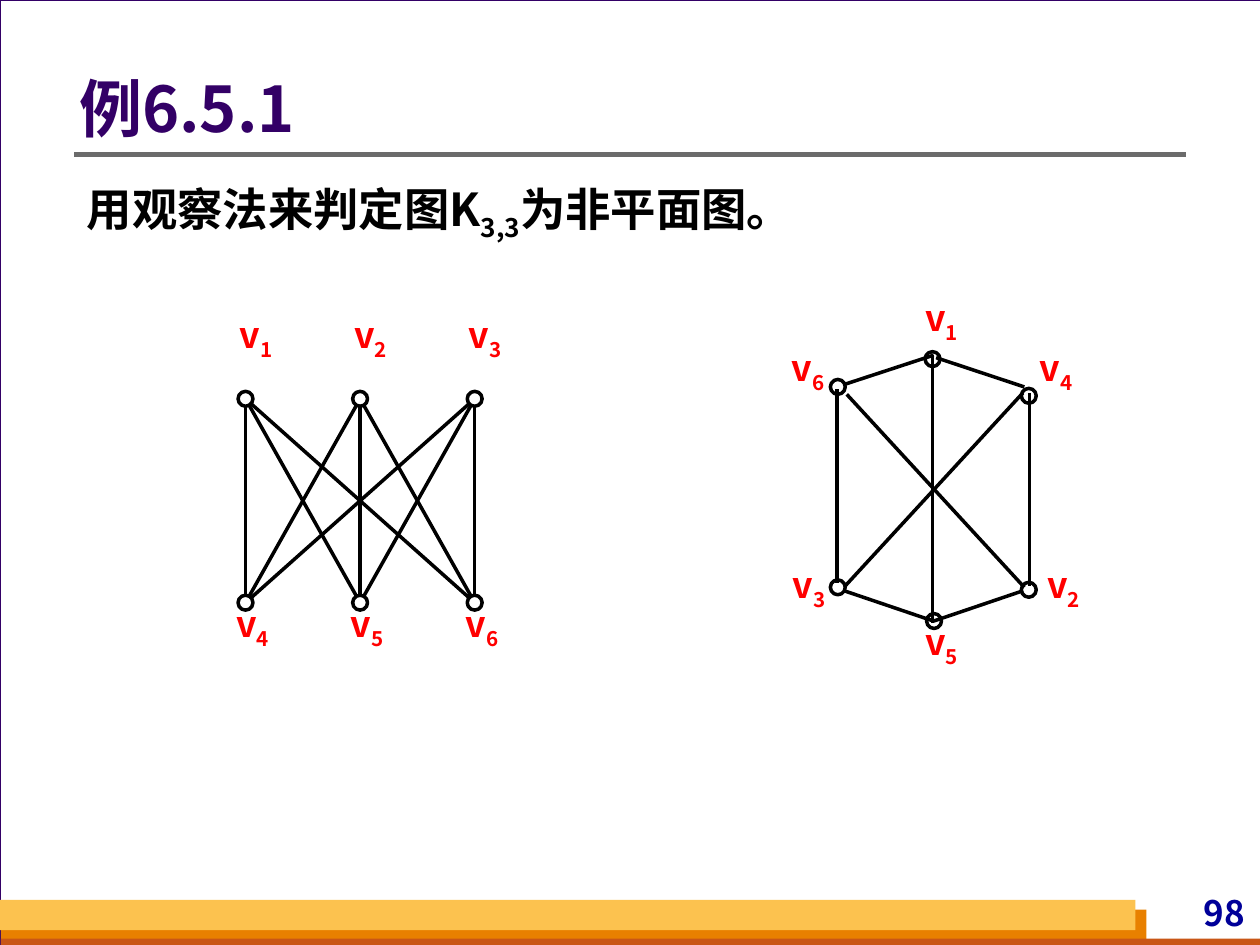
"""Build a slide on example 6.5.1, judging K3,3 non-planar by inspection."""
from itertools import product
from math import hypot

from pptx import Presentation
from pptx.dml.color import RGBColor
from pptx.enum.shapes import MSO_CONNECTOR as Connector, MSO_SHAPE as Shape
from pptx.enum.text import MSO_ANCHOR as Anchor, PP_ALIGN as Align
from pptx.oxml.xmlchemy import OxmlElement
from pptx.util import Cm, Pt

FONT = "Noto Sans CJK SC"
BACKGROUND = RGBColor(0xD8, 0xDA, 0xDA)
WHITE = RGBColor(0xFF, 0xFF, 0xFF)
BLACK = RGBColor(0, 0, 0)
PURPLE = RGBColor(0x33, 0x00, 0x66)
NAVY = RGBColor(0x00, 0x00, 0x99)
RED = RGBColor(0xFF, 0, 0)
GRAY = RGBColor(0x6B, 0x6B, 0x6B)
ORANGE = RGBColor(0xE8, 0x80, 0x00)
RUST = RGBColor(0xC9, 0x56, 0x16)
YELLOW = RGBColor(0xFC, 0xC2, 0x4F)

TITLE = [("例6.5.1", False)]
STATEMENT = [("用观察法来判定图K", False), ("3,3", True), ("为非平面图。", False)]
PAGE = [("98", False)]

BANDS = [
    ((0.02, 18.34, 23.09, 0.71), ORANGE),
    ((0.02, 18.92, 25.4, 0.2), RUST),
    ((0, 18.14, 22.89, 0.61), YELLOW),
]

RADIUS = 0.15
LABEL_SIZE = (1.19, 1.02)
COLUMN_LEFT, COLUMN_GAP = 4.95, 2.31
BIPARTITE_ROWS = [
    {"names": "123", "y": 8.04, "label_offset": (-0.38, -1.72)},
    {"names": "456", "y": 12.15, "label_offset": (-0.45, 0)},
]

HEXAGON_VERTICES = [
    ("1", (18.8, 7.24), (18.39, 5.97)),
    ("4", (20.74, 7.98), (20.7, 6.99)),
    ("2", (20.74, 11.89), (20.85, 11.35)),
    ("5", (18.83, 12.52), (18.39, 12.5)),
    ("3", (16.89, 11.84), (15.72, 11.35)),
    ("6", (16.89, 7.8), (15.7, 6.99)),
]
HEXAGON_EDGES = [
    ((18.87, 7.21), (20.65, 7.8)),
    ((18.82, 7.16), (17.02, 7.75)),
    ((20.75, 7.92), (20.75, 11.81)),
    ((18.8, 7.16), (18.8, 12.55)),
    ((16.87, 7.85), (16.87, 11.76)),
    ((20.65, 11.84), (17.07, 7.95)),
    ((20.62, 7.92), (17.04, 11.81)),
    ((20.62, 11.91), (18.82, 12.52)),
    ((17.02, 11.91), (18.82, 12.52)),
]


def add_preset(slide, kind, box, fill=None, line=None, width=0.75):
    shape = slide.shapes.add_shape(kind, *map(Cm, box))
    shape.shadow.inherit = False
    if fill is None:
        shape.fill.background()
    else:
        shape.fill.solid()
        shape.fill.fore_color.rgb = fill
    if line is None:
        shape.line.fill.background()
    else:
        shape.line.color.rgb = line
        shape.line.width = Pt(width)


def add_line(slide, start, end, color=BLACK, width=2):
    line = slide.shapes.add_connector(Connector.STRAIGHT, *map(Cm, (*start, *end)))
    line.line.color.rgb = color
    line.line.width = Pt(width)
    line._element.spPr.append(OxmlElement("a:effectLst"))


def add_text(slide, box, runs, size, color, align=Align.LEFT, spacing=1.0,
             insets=(0, 0), anchor=Anchor.TOP):
    frame = slide.shapes.add_textbox(*map(Cm, box)).text_frame
    frame.word_wrap = True
    frame.vertical_anchor = anchor
    frame.margin_left = frame.margin_right = Cm(insets[0])
    frame.margin_top = frame.margin_bottom = Cm(insets[1])
    paragraph = frame.paragraphs[0]
    paragraph.alignment = align
    paragraph.line_spacing = spacing
    font = paragraph.font
    font.size, font.bold, font.name = Pt(size), True, FONT
    font.color.rgb = color
    east_asian = OxmlElement("a:ea")
    east_asian.set("typeface", FONT)
    font._element.append(east_asian)
    for text, subscript in runs:
        run = paragraph.add_run()
        run.text = text
        if subscript:
            run._r.get_or_add_rPr().set("baseline", "-25000")


def add_vertex(slide, name, center, label_corner):
    x, y = center
    add_preset(slide, Shape.OVAL, (x - RADIUS, y - RADIUS, 2 * RADIUS, 2 * RADIUS),
               line=BLACK, width=2)
    add_text(slide, (*label_corner, *LABEL_SIZE), [("v", False), (name, True)],
             20.4, RED, Align.CENTER, 0.9)


def add_bipartite_graph(slide):
    rows = []
    for row in BIPARTITE_ROWS:
        dx, dy = row["label_offset"]
        centers = [(COLUMN_LEFT + i * COLUMN_GAP, row["y"]) for i in range(3)]
        for name, (x, y) in zip(row["names"], centers):
            add_vertex(slide, name, (x, y), (x + dx, y + dy))
        rows.append(centers)
    for (x1, y1), (x2, y2) in product(*rows):
        trim = RADIUS / hypot(x2 - x1, y2 - y1)
        dx, dy = (x2 - x1) * trim, (y2 - y1) * trim
        add_line(slide, (x1 + dx, y1 + dy), (x2 - dx, y2 - dy))


def add_hexagon_graph(slide):
    for start, end in HEXAGON_EDGES:
        add_line(slide, start, end)
    for vertex in HEXAGON_VERTICES:
        add_vertex(slide, *vertex)


def main():
    presentation = Presentation()
    presentation.slide_width, presentation.slide_height = Cm(25.4), Cm(19.05)
    slide = presentation.slides.add_slide(presentation.slide_layouts[6])
    slide.background.fill.solid()
    slide.background.fill.fore_color.rgb = BACKGROUND

    add_preset(slide, Shape.RECTANGLE, (0, 0, 25.43, 19.05), WHITE, PURPLE)
    for box, color in BANDS:
        add_preset(slide, Shape.RECTANGLE, box, color)
    add_text(slide, (22.1, 17.98, 3.1, 0.84), PAGE, 20, NAVY, Align.RIGHT,
             insets=(0.1, 0))
    add_line(slide, (1.5, 3.12), (23.9, 3.12), GRAY, 3)
    add_text(slide, (1.5, 0.97, 22.4, 2.57), TITLE, 36, PURPLE, spacing=0.9,
             insets=(0.1, 0), anchor=Anchor.MIDDLE)
    add_text(slide, (1.5, 3.4, 22.4, 1.68), STATEMENT, 25.9, BLACK, Align.JUSTIFY,
             1.1, (0.25, 0.13))
    add_bipartite_graph(slide)
    add_hexagon_graph(slide)
    presentation.save("out.pptx")


if __name__ == "__main__":
    main()
